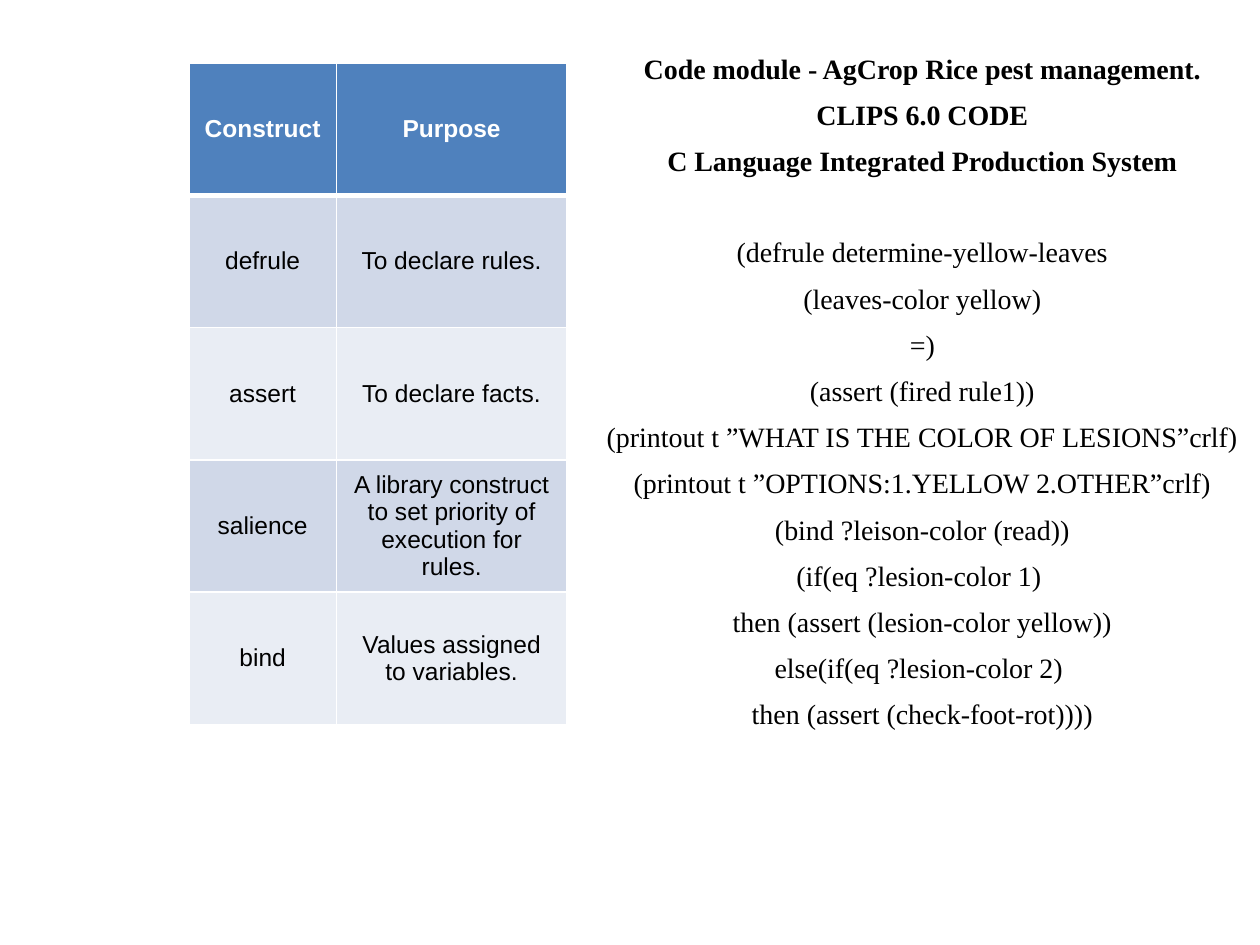
from lxml import etree
from pptx import Presentation
from pptx.dml.color import RGBColor
from pptx.enum.text import MSO_ANCHOR, PP_ALIGN
from pptx.oxml.ns import qn
from pptx.util import Inches, Pt

CENTER = PP_ALIGN.CENTER
MIDDLE = MSO_ANCHOR.MIDDLE
COLORS = {"head": "4F81BD", "odd": "D0D8E8", "even": "E9EDF4",
          "white": "FFFFFF", "black": "000000"}
COLS = [1.17, 1.83]
ROWS = [
    ("Construct", "Purpose"),
    ("defrule", "To declare rules."),
    ("assert", "To declare facts."),
    ("salience", "A library construct to set priority of execution for rules."),
    ("bind", "Values assigned to variables."),
]
HEADS = [
    "Code module - AgCrop Rice pest management.",
    "CLIPS 6.0 CODE",
    "C Language Integrated Production System",
]
CODE = [
    "(defrule determine-yellow-leaves",
    "(leaves-color yellow)",
    "=)",
    "(assert (fired rule1))",
    "(printout t ”WHAT IS THE COLOR OF LESIONS”crlf)",
    "(printout t ”OPTIONS:1.YELLOW 2.OTHER”crlf)",
    "(bind ?leison-color (read))",
    "(if(eq ?lesion-color 1) ",
    "then (assert (lesion-color yellow))",
    "else(if(eq ?lesion-color 2) ",
    "then (assert (check-foot-rot))))",
]
GAP = 7.2
SPLIT = 32.8


def write(para, text, color, **props):
    para.alignment = CENTER
    run = para.add_run()
    run.text = text
    for key, value in props.items():
        setattr(run.font, key, value)
    run.font.color.rgb = RGBColor.from_string(COLORS[color])


def edge(cell, side, width):
    line = etree.SubElement(cell._tc.get_or_add_tcPr(), qn("a:ln" + side),
                            w=str(Pt(width)))
    fill = etree.SubElement(line, qn("a:solidFill"))
    etree.SubElement(fill, qn("a:srgbClr"), val=COLORS["white"])


def add_grid(slide):
    frame = slide.shapes.add_table(len(ROWS), len(COLS), Inches(1.5), Inches(0.5),
                                   Inches(3), Inches(5.25))
    table = frame.table
    for col, width in zip(table.columns, COLS):
        col.width = Inches(width)
    for i, row in enumerate(ROWS):
        table.rows[i].height = Inches(1.05)
        head = i == 0
        shade = "head" if head else "odd" if i % 2 else "even"
        for j, text in enumerate(row):
            cell = table.cell(i, j)
            cell.vertical_anchor = MIDDLE
            write(cell.text_frame.paragraphs[0], text, "white" if head else "black",
                  size=Pt(14), name="Arial", bold=head)
            for side in "LRTB":
                thick = (head and side == "B") or (i == 1 and side == "T")
                edge(cell, side, 3 if thick else 1)
            cell.fill.solid()
            cell.fill.fore_color.rgb = RGBColor.from_string(COLORS[shade])


def add_code(slide):
    box = slide.shapes.add_textbox(Inches(4.41), Inches(0.31), Inches(5.59), Inches(6.4))
    frame = box.text_frame
    frame.word_wrap = True
    for side in ("left", "top", "right", "bottom"):
        setattr(frame, "margin_" + side, Inches(0.1))
    for i, text in enumerate(HEADS + CODE):
        para = frame.add_paragraph() if i else frame.paragraphs[0]
        para.space_before = Pt(SPLIT if i == len(HEADS) else GAP)
        props = para._p.get_or_add_pPr()
        props.set("marL", str(Inches(0.38)))
        props.set("indent", str(Inches(-0.15)))
        write(para, text, "black", size=Pt(16), name="Times New Roman",
              bold=i < len(HEADS))


def main():
    deck = Presentation()
    deck.slide_width, deck.slide_height = Inches(10), Inches(7.5)
    slide = deck.slides.add_slide(deck.slide_layouts[6])
    add_code(slide)
    add_grid(slide)
    deck.save("out.pptx")


if __name__ == "__main__":
    main()
